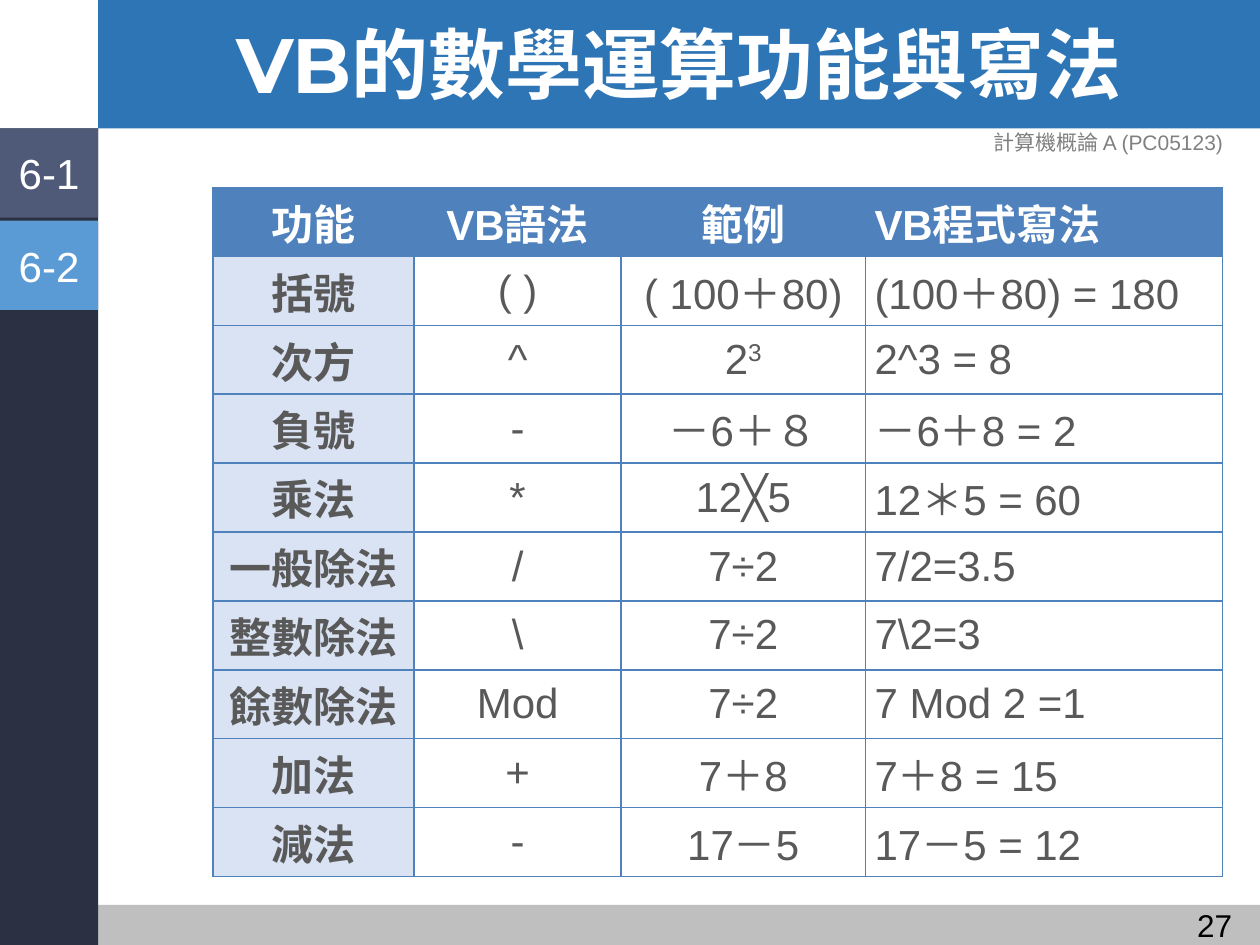
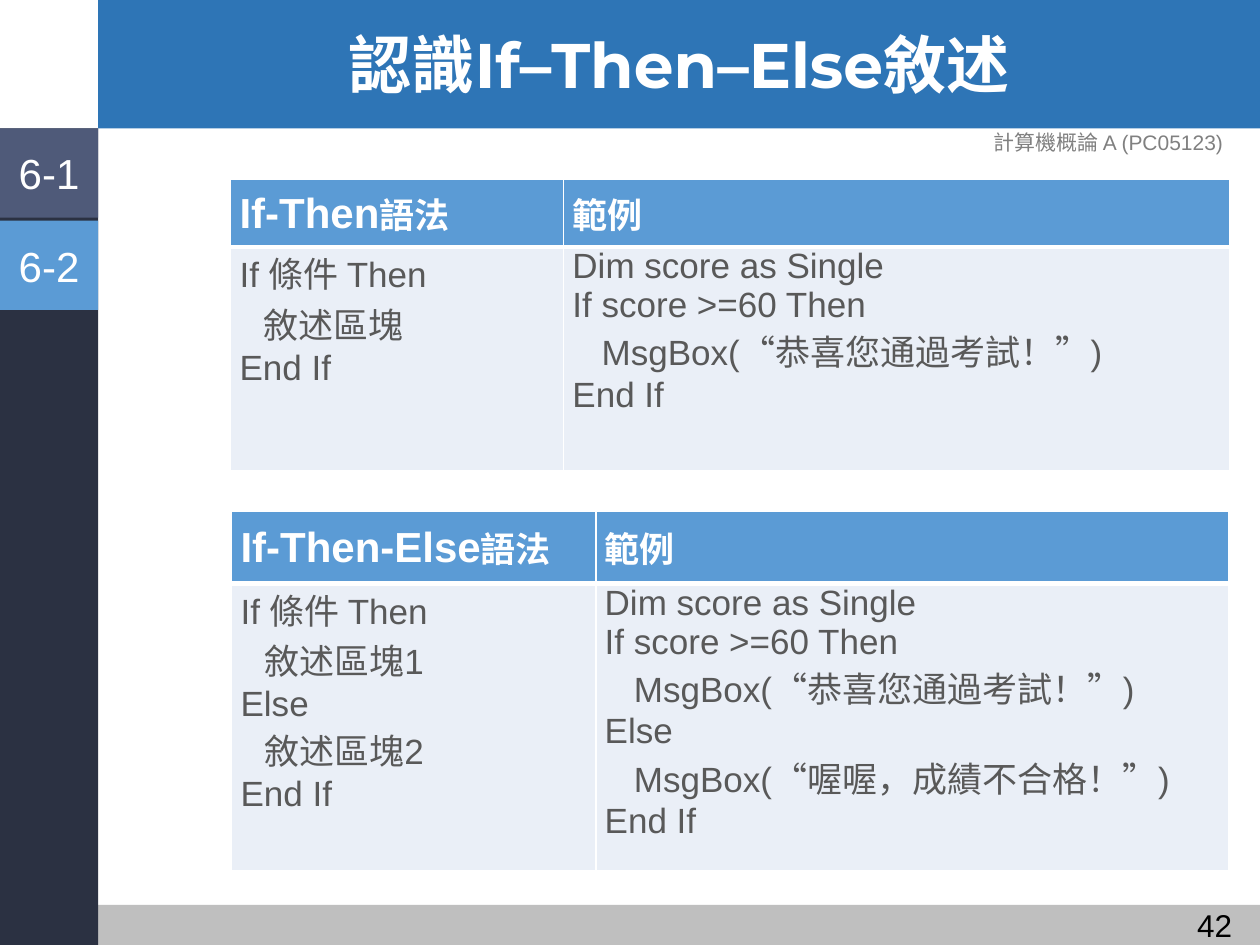
from lxml import etree
from pptx import Presentation
from pptx.dml.color import RGBColor
from pptx.enum.shapes import MSO_SHAPE
from pptx.enum.text import MSO_ANCHOR, MSO_AUTO_SIZE, PP_ALIGN
from pptx.oxml.ns import qn
from pptx.util import Cm, Pt

LEFT, MID, RIGHT, JUST = (PP_ALIGN.LEFT, PP_ALIGN.CENTER,
                          PP_ALIGN.RIGHT, PP_ALIGN.JUSTIFY)
TOP, CENTRE = MSO_ANCHOR.TOP, MSO_ANCHOR.MIDDLE
RECT = MSO_SHAPE.RECTANGLE
TITLE_ONLY = 5

HUES = {
    "band": "2E75B6", "foot": "BFBFBF", "side": "2B3142", "tab": "4F5A79",
    "sky": "5B9BD5", "pale": "EAEFF7", "grid": "4F81BD", "label": "DAE3F3",
    "white": "FFFFFF", "black": "000000", "grey": "808080", "text": "595959",
}

# Content: a text is a list of paragraphs; a paragraph is a string
# or a list of (string, format) runs.
COURSE = "計算機概論 A (PC05123)"
TABS = [("6-1", "tab"), ("6-2", "sky")]

MATH = [
    ("功能", "VB語法", "範例", "VB程式寫法"),
    ("括號", "( )", "( 100＋80)", "(100＋80) = 180"),
    ("次方", "^", [("2", {}), ("3", {"raised": True})], "2^3 = 8"),
    ("負號", "-", "－6＋８", "－6＋8 = 2"),
    ("乘法", "*", "12╳5", "12＊5 = 60"),
    ("一般除法", "/", "7÷2", "7/2=3.5"),
    ("整數除法", "\\", "7÷2", "7\\2=3"),
    ("餘數除法", "Mod", "7÷2", "7 Mod 2 =1"),
    ("加法", "+", "7＋8", "7＋8 = 15"),
    ("減法", "-", "17－5", "17－5 = 12"),
]

START = ["Dim score as Single", "If score >=60 Then",
         "   MsgBox(“恭喜您通過考試！”)"]
CODE = [
    {"name": "If-Then", "at": (4.65, 3.61),
     "cols": (6.71, 13.44), "rows": (1.37, 4.5),
     "rule": ["If 條件 Then", "   敘述區塊", "End If"],
     "demo": START + ["End If"]},
    {"name": "If-Then-Else", "at": (4.67, 10.31),
     "cols": (7.34, 12.75), "rows": (1.45, 5.79),
     "rule": ["If 條件 Then", "   敘述區塊1", "Else", "   敘述區塊2", "End If"],
     "demo": START + ["Else", "   MsgBox(“喔喔，成績不合格！”)", "End If"]},
]

# Layout, in cm
WIDE, HIGH = 25.4, 19.05
SIDE, HEAD = 1.98, 2.59
FOOT = 18.24
TAB_H, TAB_STEP = 1.8, 1.86


def hue(name):
    return RGBColor.from_string(HUES[name])


def write(frame, lines, size=24, color="text", bold=False, font="Arial",
          align=LEFT, space=None):
    """Fill a text frame with paragraphs in one format."""
    for i, line in enumerate(lines):
        par = frame.add_paragraph() if i else frame.paragraphs[0]
        par.alignment = align
        if space:
            par.line_spacing = space
        for text, own in [(line, {})] if isinstance(line, str) else line:
            run = par.add_run()
            run.text = text
            run.font.name = font
            run.font.size = Pt(own.get("size", size))
            run.font.bold = bold
            run.font.color.rgb = hue(color)
            if own.get("raised"):
                run.font._element.set("baseline", "30000")


def block(slide, box, color):
    shape = slide.shapes.add_shape(RECT, *map(Cm, box))
    shape.shadow.inherit = False
    shape.fill.solid()
    shape.fill.fore_color.rgb = hue(color)
    shape.line.fill.background()
    return shape


def label(slide, box, text, anchor=TOP, **fmt):
    frame = slide.shapes.add_textbox(*map(Cm, box)).text_frame
    frame.word_wrap = True
    frame.vertical_anchor = anchor
    write(frame, [text], **fmt)


def start(deck, title, size, number):
    """Add a slide with the shared bands, title, course and page number."""
    slide = deck.slides.add_slide(deck.slide_layouts[TITLE_ONLY])
    block(slide, (SIDE, 0, WIDE - SIDE, HEAD), "band")
    block(slide, (SIDE, FOOT, WIDE - SIDE, HIGH - FOOT), "foot")
    block(slide, (0, HEAD, SIDE, HIGH - HEAD), "side")

    head = slide.shapes.title
    head.element.getparent().append(head.element)  # bring above the bands
    head.left, head.top = Cm(SIDE), Cm(0.08)
    head.width, head.height = Cm(WIDE - SIDE), Cm(HEAD)
    frame = head.text_frame
    frame.auto_size = MSO_AUTO_SIZE.NONE
    frame.vertical_anchor = CENTRE
    write(frame, [title], size=size, color="white", bold=True,
          font="Montserrat", align=MID, space=0.9)

    label(slide, (22.4, 18.14, 2.69, 1.02), str(number), size=18,
          color="black", align=RIGHT)
    label(slide, (19.28, 2.36, 6.12, 1.02), COURSE, anchor=CENTRE, size=12,
          color="grey", align=MID)
    return slide


def tabs(slide):
    for i, (text, color) in enumerate(TABS):
        tab = block(slide, (0, HEAD + i * TAB_STEP, SIDE, TAB_H), color)
        frame = tab.text_frame
        frame.word_wrap = False
        frame.vertical_anchor = CENTRE
        frame.margin_left = frame.margin_right = Cm(0.1)
        frame.margin_top = frame.margin_bottom = Cm(0.1)
        write(frame, [text], color="white", align=MID)


def grid(slide, at, cols, rows):
    """Add an empty table with the given column widths and row heights."""
    size = sum(cols), sum(rows)
    table = slide.shapes.add_table(len(rows), len(cols),
                                   *map(Cm, at + size)).table
    for col, width in zip(table.columns, cols):
        col.width = Cm(width)
    for row, height in zip(table.rows, rows):
        row.height = Cm(height)
    return table


def edge(cell, color, **thick):
    """Draw the four borders, 1 pt unless a side (L, R, T, B) says otherwise."""
    props = cell._tc.get_or_add_tcPr()
    for side in "LRTB":
        line = etree.SubElement(props, qn("a:ln" + side),
                                w=str(Pt(thick.get(side, 1))))
        fill = etree.SubElement(line, qn("a:solidFill"))
        etree.SubElement(fill, qn("a:srgbClr"), val=HUES[color])


def put(cell, lines, fill=None, anchor=CENTRE, **fmt):
    cell.margin_left = cell.margin_right = Cm(0.18)
    cell.margin_top = cell.margin_bottom = 0
    cell.vertical_anchor = anchor
    if fill:
        cell.fill.solid()
        cell.fill.fore_color.rgb = hue(fill)
    else:
        cell.fill.background()
    write(cell.text_frame, lines, **fmt)


def math_table(slide):
    table = grid(slide, (4.29, 3.78), (4.06, 4.17, 4.93, 7.19),
                 [1.39] * len(MATH))
    for r, row in enumerate(MATH):
        for c, text in enumerate(row):
            cell = table.cell(r, c)
            edge(cell, "grid")
            fill = "grid" if r == 0 else "label" if c == 0 else None
            put(cell, [text], fill, bold=bool(fill),
                color="text" if r else "white", align=JUST if c == 3 else MID)


def code_table(slide, part):
    table = grid(slide, part["at"], part["cols"], part["rows"])
    heads = [[(part["name"], {"size": 24}), ("語法", {})], "範例"]
    for c, (head, code) in enumerate(zip(heads, (part["rule"], part["demo"]))):
        top, body = table.cell(0, c), table.cell(1, c)
        edge(top, "white", B=3)
        edge(body, "white", T=3)
        put(top, [head], "sky", size=20, color="white", bold=True)
        put(body, code, "pale", anchor=TOP, size=20)


def main():
    deck = Presentation()
    deck.slide_width, deck.slide_height = Cm(WIDE), Cm(HIGH)

    slide = start(deck, "VB的數學運算功能與寫法", 44, 27)
    math_table(slide)
    tabs(slide)

    slide = start(deck, "認識If–Then–Else敘述", 36, 42)
    for part in CODE:
        code_table(slide, part)
    tabs(slide)

    deck.save("out.pptx")


if __name__ == "__main__":
    main()
